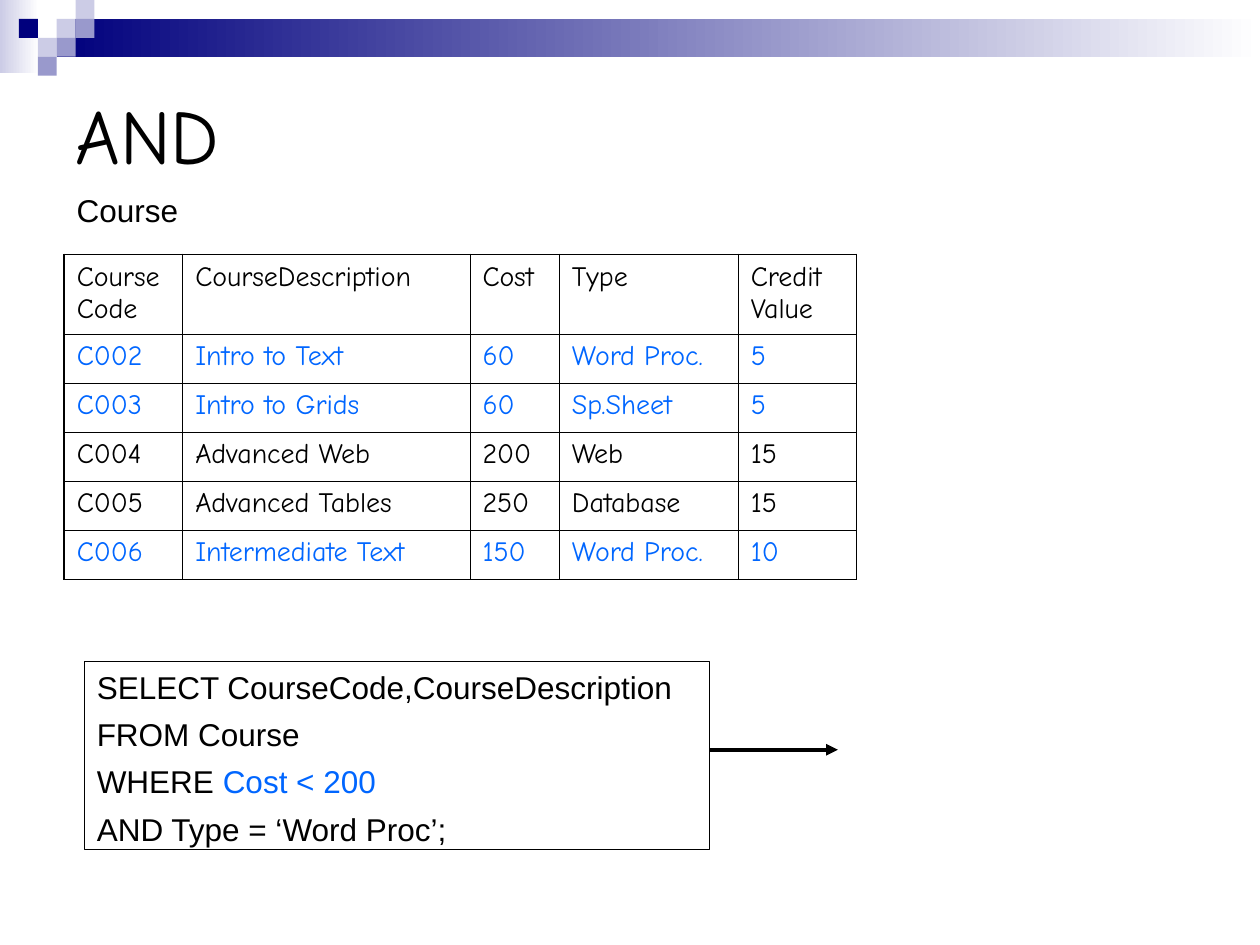
import pptx
import pptx.dml.color
import pptx.enum.shapes
import pptx.enum.text
import pptx.oxml
import pptx.oxml.ns
import pptx.util
import lxml.etree

RGBColor = pptx.dml.color.RGBColor
Inches = pptx.util.Inches
Pt = pptx.util.Pt

BLACK = RGBColor(0x00, 0x00, 0x00)
WHITE = RGBColor(0xFF, 0xFF, 0xFF)
BLUE = RGBColor(0x00, 0x66, 0xFF)
NAVY = RGBColor(0x00, 0x00, 0x7D)
PALE = RGBColor(0xCC, 0xCC, 0xE6)
LILAC = RGBColor(0x99, 0x99, 0xCC)

# Content
TITLE = "AND"
TABLE_NAME = "Course"
HEADER = ("Course Code", "CourseDescription", "Cost", "Type", "Credit Value")
COURSES = [
    ("C002", "Intro to Text", "60", "Word Proc.", "5"),
    ("C003", "Intro to Grids", "60", "Sp.Sheet", "5"),
    ("C004", "Advanced Web", "200", "Web", "15"),
    ("C005", "Advanced Tables", "250", "Database", "15"),
    ("C006", "Intermediate Text", "150", "Word Proc.", "10"),
]
COST_LIMIT = 200
QUERY = [
    [("SELECT CourseCode,CourseDescription", BLACK)],
    [("FROM Course", BLACK)],
    [("WHERE ", BLACK), ("Cost < 200", BLUE)],
    [("AND Type = ‘Word Proc’;", BLACK)],
]

# Layout and formats
TILE = 0.15
TILES = [  # column, row, colour
    (3, 1, PALE), (4, 0, PALE), (4, 1, LILAC), (2, 2, PALE),
    (1, 1, NAVY), (3, 2, LILAC), (2, 3, LILAC),
]
BANDS = [  # left, top, width, height, start colour
    (0, 0, 0.31, 0.58, PALE),
    (3 * TILE, TILE, 10 - 3 * TILE, 2 * TILE, NAVY),
]
COLUMN_WIDTHS = (0.94, 2.28, 0.71, 1.42, 0.94)
ROW_HEIGHTS = [0.63] + [0.39] * len(COURSES)
TITLE_FONT = {"name": "Comic Neue", "size": Pt(44)}
CELL_FONT = {"name": "Comic Neue", "size": Pt(16)}
TEXT_FONT = {"name": "Arial", "size": Pt(18)}
INNER, OUTER = 0.45, 1.08


def add_span(para, text, color, font):
    span = para.add_run()
    span.text = text
    for key, value in font.items():
        setattr(span.font, key, value)
    span.font.color.rgb = color


def add_rectangle(page, left, top, width, height):
    box = page.shapes.add_shape(
        pptx.enum.shapes.MSO_SHAPE.RECTANGLE,
        Inches(left), Inches(top), Inches(width), Inches(height))
    box.shadow.inherit = False
    return box


def set_border(cell, side, width):
    border = pptx.oxml.parse_xml(
        f'<a:{side} {pptx.oxml.ns.nsdecls("a")} w="{Pt(width)}">'
        f'<a:solidFill><a:srgbClr val="{BLACK}"/></a:solidFill></a:{side}>')
    cell.fill.background()
    properties = cell._tc.get_or_add_tcPr()
    fill = properties.find(pptx.oxml.ns.qn("a:noFill"))
    fill.addprevious(border)


def add_decoration(page):
    for left, top, width, height, color in BANDS:
        band = add_rectangle(page, left, top, width, height)
        band.line.fill.background()
        band.fill.gradient()
        band.fill.gradient_angle = 0
        for stop, shade in zip(band.fill.gradient_stops, (color, WHITE)):
            stop.color.rgb = shade
    for column, row, color in TILES:
        tile = add_rectangle(page, column * TILE, row * TILE, TILE, TILE)
        tile.line.fill.background()
        tile.fill.solid()
        tile.fill.fore_color.rgb = color


def add_title(page):
    title = page.shapes.title
    title.left, title.top = Inches(0.5), Inches(0.5)
    title.width, title.height = Inches(9), Inches(1.12)
    title.text_frame.vertical_anchor = pptx.enum.text.MSO_ANCHOR.MIDDLE
    para = title.text_frame.paragraphs[0]
    para.alignment = pptx.enum.text.PP_ALIGN.LEFT
    add_span(para, TITLE, BLACK, TITLE_FONT)


def add_course_table(page):
    rows = [HEADER] + COURSES
    frame = page.shapes.add_table(
        len(rows), len(HEADER), Inches(0.51), Inches(2.02),
        Inches(sum(COLUMN_WIDTHS)), Inches(sum(ROW_HEIGHTS)))
    table = frame.table
    table.first_row = table.horz_banding = False
    for column, width in zip(table.columns, COLUMN_WIDTHS):
        column.width = Inches(width)
    for row, height in zip(table.rows, ROW_HEIGHTS):
        row.height = Inches(height)
    last_row, last_column = len(rows) - 1, len(HEADER) - 1
    for i, values in enumerate(rows):
        matches = i > 0 and int(values[2]) < COST_LIMIT
        for j, text in enumerate(values):
            cell = table.cell(i, j)
            add_span(cell.text_frame.paragraphs[0], text,
                     BLUE if matches else BLACK, CELL_FONT)
            edges = {"lnL": j == 0, "lnR": j == last_column,
                     "lnT": i == 0, "lnB": i == last_row}
            for side, is_outer in edges.items():
                set_border(cell, side, OUTER if is_outer else INNER)


def add_query(page):
    box = add_rectangle(page, 0.67, 5.25, 4.96, 1.49)
    box.fill.background()
    box.line.color.rgb = BLACK
    box.line.width = Pt(0.75)
    frame = box.text_frame
    frame.word_wrap = True
    frame.vertical_anchor = pptx.enum.text.MSO_ANCHOR.TOP
    for i, spans in enumerate(QUERY):
        para = frame.add_paragraph() if i else frame.paragraphs[0]
        para.alignment = pptx.enum.text.PP_ALIGN.LEFT
        if i:
            para.space_before = Pt(5.4)
        for text, color in spans:
            add_span(para, text, color, TEXT_FONT)


def add_table_name(page):
    box = page.shapes.add_textbox(
        Inches(0.51), Inches(1.47), Inches(2.91), Inches(0.4))
    box.text_frame.word_wrap = True
    add_span(box.text_frame.paragraphs[0], TABLE_NAME, BLACK, TEXT_FONT)


def add_arrow(page):
    arrow = page.shapes.add_connector(
        pptx.enum.shapes.MSO_CONNECTOR.STRAIGHT,
        Inches(5.63), Inches(5.95), Inches(6.65), Inches(5.95))
    arrow.line.color.rgb = BLACK
    arrow.line.width = Pt(2.25)
    qn = pptx.oxml.ns.qn
    lxml.etree.SubElement(arrow.line._get_or_add_ln(), qn("a:tailEnd"), type="triangle")
    lxml.etree.SubElement(arrow._element.spPr, qn("a:effectLst"))


def main():
    deck = pptx.Presentation()
    deck.slide_width, deck.slide_height = Inches(10), Inches(7.5)
    page = deck.slides.add_slide(deck.slide_layouts[5])
    add_decoration(page)
    add_title(page)
    add_course_table(page)
    add_query(page)
    add_table_name(page)
    add_arrow(page)
    deck.save("out.pptx")


if __name__ == "__main__":
    main()
